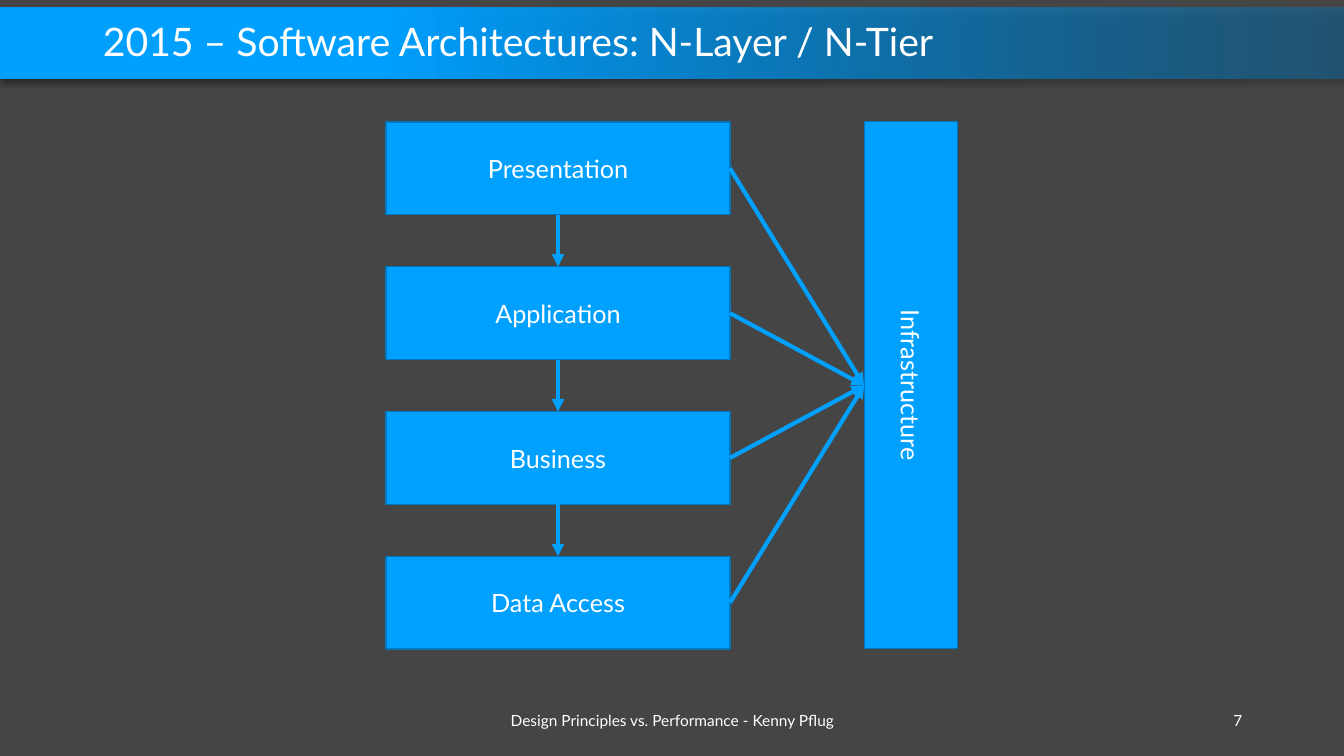
from dataclasses import dataclass

from lxml import etree
from pptx import Presentation
from pptx import util as u
from pptx.dml.color import RGBColor
from pptx.enum import shapes, text
from pptx.oxml import parse_xml
from pptx.oxml.ns import nsdecls, qn


@dataclass(frozen=True)
class Theme:
    font: str = "Lato"
    background: RGBColor = RGBColor(0x45, 0x45, 0x45)
    accent: RGBColor = RGBColor(0x00, 0xA0, 0xFF)
    outline: RGBColor = RGBColor(0x00, 0x76, 0xBD)
    band_end: RGBColor = RGBColor(0x00, 0x78, 0xBF)
    ink: RGBColor = RGBColor(0xFF, 0xFF, 0xFF)
    title_size: int = 28
    block_size: int = 18
    footer_size: int = 11
    outline_width: int = 1
    arrow_width: int = 3


@dataclass(frozen=True)
class Area:
    left: float
    top: float
    width: float
    height: float

    def emu(self) -> tuple:
        return tuple(u.Inches(v) for v in (self.left, self.top, self.width, self.height))


@dataclass(frozen=True)
class Block:
    label: str
    area: Area
    rotation: int = 0


@dataclass(frozen=True)
class FooterItem:
    label: str
    area: Area
    align: text.PP_ALIGN


THEME = Theme()
TITLE = "2015 – Software Architectures: N-Layer / N-Tier"
TITLE_AREA = Area(0.92, 0.16, 11.5, 0.55)
BAND_AREA = Area(0, 0.08, 13.33, 0.7)
FOOTER = (
    FooterItem("Design Principles vs. Performance - Kenny Pflug",
               Area(4.42, 6.95, 4.5, 0.4), text.PP_ALIGN.CENTER),
    FooterItem("7", Area(9.42, 6.95, 3, 0.4), text.PP_ALIGN.RIGHT),
)

LAYER_NAMES = ("Presentation", "Application", "Business", "Data Access")
STACK = Area(3.83, 1.21, 3.41, 5.23)
BLOCK_HEIGHT = 0.92
LAYER_STEP = (STACK.height - BLOCK_HEIGHT) / (len(LAYER_NAMES) - 1)
LAYERS = [Block(name, Area(STACK.left, STACK.top + i * LAYER_STEP, STACK.width, BLOCK_HEIGHT))
          for i, name in enumerate(LAYER_NAMES)]
INFRASTRUCTURE = Block("Infrastructure", Area(6.42, 3.36, STACK.height, BLOCK_HEIGHT), 90)
INFRASTRUCTURE_LEFT = 8.57
STACK_MIDDLE = STACK.top + STACK.height / 2

TOP, BOTTOM, RIGHT = 0, 2, 3


def write(frame, label: str, size: int, align: text.PP_ALIGN) -> None:
    frame.text = label
    frame_format = {"word_wrap": True, "auto_size": text.MSO_AUTO_SIZE.NONE,
                    "vertical_anchor": text.MSO_ANCHOR.MIDDLE}
    for key, value in frame_format.items():
        setattr(frame, key, value)
    paragraph = frame.paragraphs[0]
    paragraph.alignment = align
    font = paragraph.runs[0].font
    for key, value in {"name": THEME.font, "size": u.Pt(size)}.items():
        setattr(font, key, value)
    font.color.rgb = THEME.ink


def draw_band(slide) -> None:
    band = slide.shapes.add_shape(shapes.MSO_SHAPE.RECTANGLE, *BAND_AREA.emu())
    band.line.fill.background()
    band.fill.gradient()
    band.fill.gradient_angle = 180
    stops = band.fill.gradient_stops
    for stop, position, color in zip(stops, (0, 0.72), (THEME.band_end, THEME.accent)):
        stop.position = position
        stop.color.rgb = color
    first_color = band._element.spPr.find(".//" + qn("a:srgbClr"))
    etree.SubElement(first_color, qn("a:alpha"), val="40000")
    band._element.spPr.append(parse_xml(
        f'<a:effectLst {nsdecls("a")}>'
        f'<a:outerShdw blurRad="{u.Pt(4)}" dist="{u.Pt(3)}" dir="5400000" rotWithShape="0">'
        '<a:srgbClr val="000000"><a:alpha val="40000"/></a:srgbClr>'
        '</a:outerShdw></a:effectLst>'))
    slide.shapes._spTree.insert(2, band._element)


def draw_title(slide) -> None:
    title = slide.shapes.title
    for key, value in zip(("left", "top", "width", "height"), TITLE_AREA.emu()):
        setattr(title, key, value)
    write(title.text_frame, TITLE, THEME.title_size, text.PP_ALIGN.LEFT)
    title.text_frame.paragraphs[0].line_spacing = 0.9


def draw_footer(slide, item: FooterItem) -> None:
    box = slide.shapes.add_textbox(*item.area.emu())
    write(box.text_frame, item.label, THEME.footer_size, item.align)


def draw_block(slide, block: Block):
    rectangle = slide.shapes.add_shape(shapes.MSO_SHAPE.RECTANGLE, *block.area.emu())
    rectangle.rotation = block.rotation
    rectangle.shadow.inherit = False
    rectangle.fill.solid()
    rectangle.fill.fore_color.rgb = THEME.accent
    rectangle.line.color.rgb = THEME.outline
    rectangle.line.width = u.Pt(THEME.outline_width)
    write(rectangle.text_frame, block.label, THEME.block_size, text.PP_ALIGN.CENTER)
    return rectangle


def draw_arrow(slide, source, source_side: int, target, target_side: int):
    arrow = slide.shapes.add_connector(shapes.MSO_CONNECTOR.STRAIGHT, 0, 0, 0, 0)
    arrow.begin_connect(source, source_side)
    arrow.end_connect(target, target_side)
    arrow.line.color.rgb = THEME.accent
    arrow.line.width = u.Pt(THEME.arrow_width)
    etree.SubElement(arrow.line._get_or_add_ln(), qn("a:tailEnd"), type="triangle")
    etree.SubElement(arrow._element.spPr, qn("a:effectLst"))
    return arrow


def main() -> None:
    deck = Presentation()
    deck.slide_width, deck.slide_height = u.Inches(13.33), u.Inches(7.5)
    slide = deck.slides.add_slide(deck.slide_layouts[5])
    slide.background.fill.solid()
    slide.background.fill.fore_color.rgb = THEME.background

    draw_band(slide)
    draw_title(slide)
    for item in FOOTER:
        draw_footer(slide, item)

    layers = [draw_block(slide, layer) for layer in LAYERS]
    infrastructure = draw_block(slide, INFRASTRUCTURE)
    for upper, lower in zip(layers, layers[1:]):
        draw_arrow(slide, upper, BOTTOM, lower, TOP)
    for layer in layers:
        arrow = draw_arrow(slide, layer, RIGHT, infrastructure, BOTTOM)
        arrow.end_x = u.Inches(INFRASTRUCTURE_LEFT)
        arrow.end_y = u.Inches(STACK_MIDDLE)

    deck.save("out.pptx")


if __name__ == "__main__":
    main()
